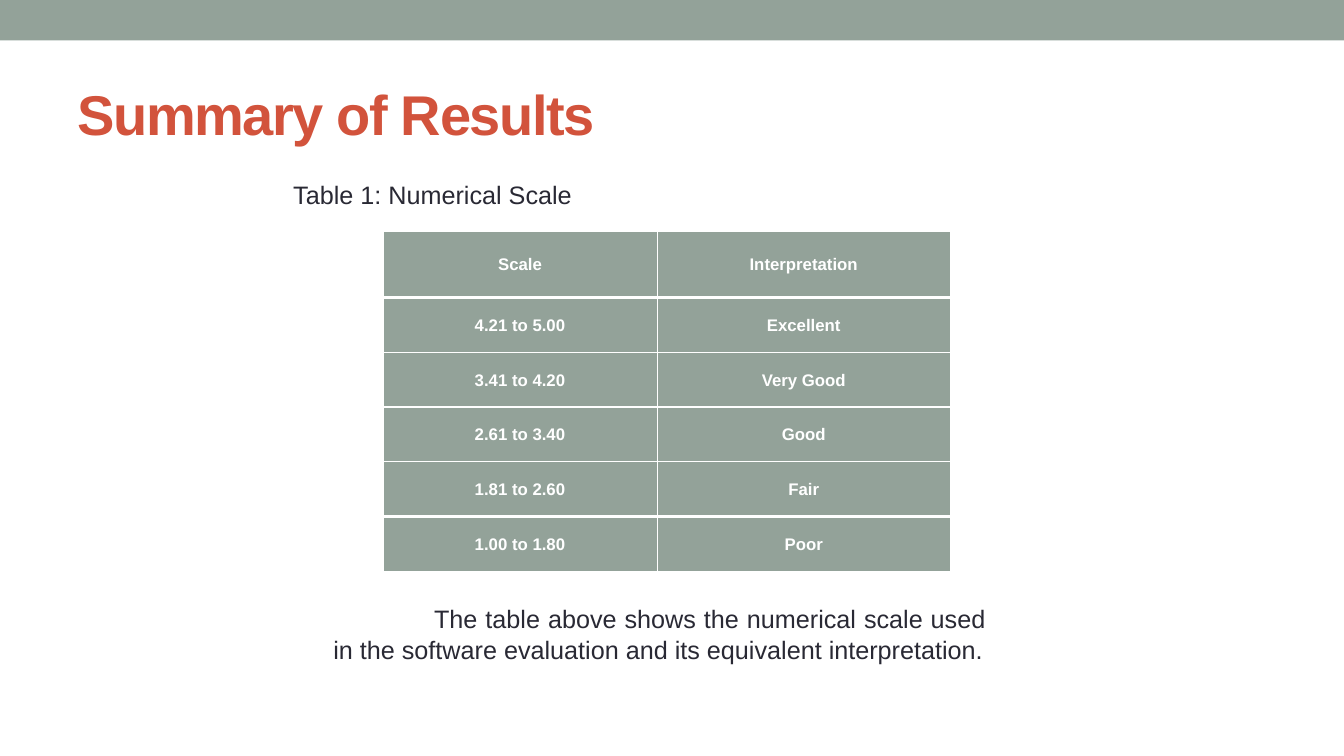
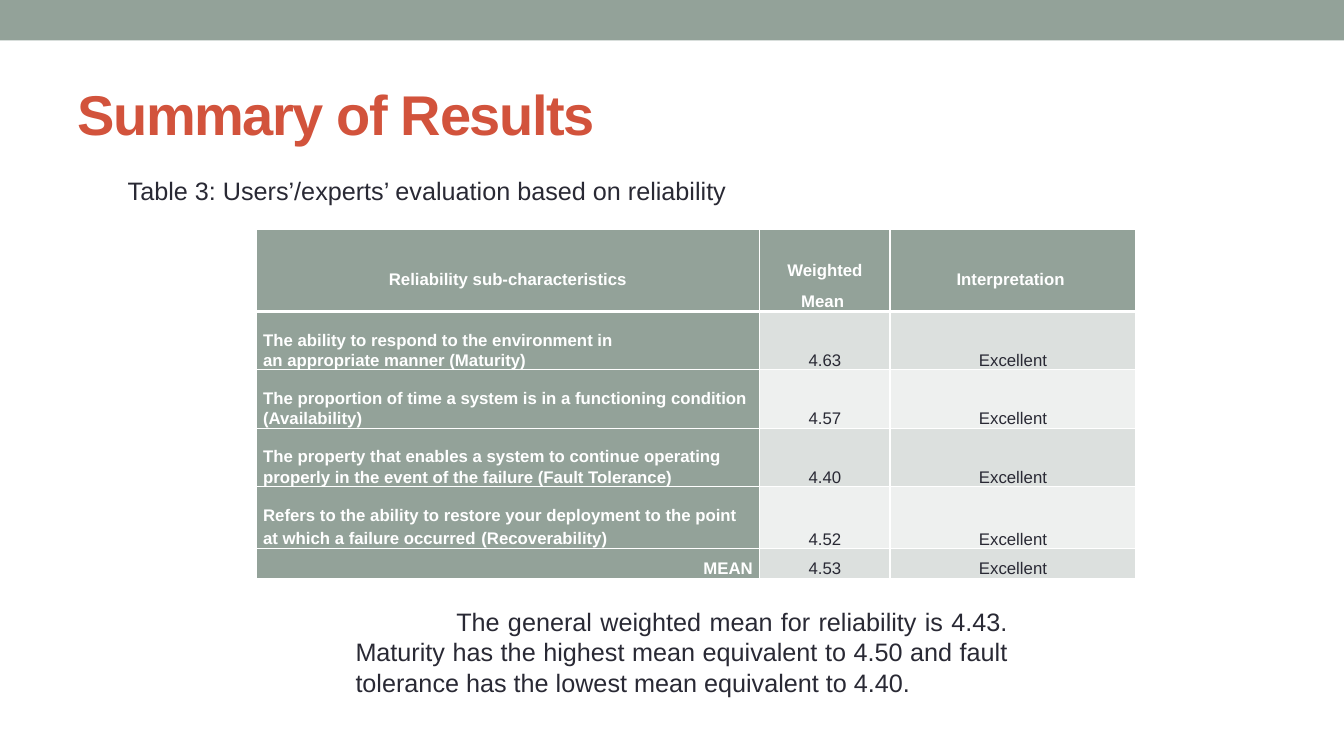
from lxml import etree
from pptx import Presentation
from pptx.dml.color import RGBColor
from pptx.enum.shapes import MSO_SHAPE
from pptx.enum.text import MSO_ANCHOR, MSO_AUTO_SIZE, PP_ALIGN
from pptx.oxml.ns import qn
from pptx.util import Cm, Pt

SAGE = RGBColor(0x93, 0xA2, 0x99)
RUST = RGBColor(0xD2, 0x53, 0x3C)
INK = RGBColor(0x29, 0x29, 0x34)
WHITE = RGBColor(0xFF, 0xFF, 0xFF)
BAND_DARK = RGBColor(0xDC, 0xE0, 0xDE)
BAND_LIGHT = RGBColor(0xEE, 0xF0, 0xEF)
FONT = "Arial"

SLIDES = [
    {
        "caption": "Table 1: Numerical Scale",
        "caption_box": (7.14, 4.39, 7.8, 1.02),
        "table_at": (9.65, 5.82),
        "columns": [6.91, 7.39],
        "rows": [1.68] + [1.38] * 5,
        "cells": [
            ("Scale", "Interpretation"),
            ("4.21 to 5.00", "Excellent"),
            ("3.41 to 4.20", "Very Good"),
            ("2.61 to 3.40", "Good"),
            ("1.81 to 2.60", "Fair"),
            ("1.00 to 1.80", "Poor"),
        ],
        "thick_rules": {1, 5},
        "summary": "The table above shows the numerical scale used in the software "
                   "evaluation and its equivalent interpretation.",
        "summary_box": (8.15, 15.09, 16.94, 1.8),
    },
    {
        "caption": "Table 3: Users’/experts’ evaluation based on reliability",
        "caption_box": (2.97, 4.29, 15.9, 1.02),
        "table_at": (6.45, 5.79),
        "columns": [12.7, 3.28, 6.2],
        "rows": [2.06] + [1.47] * 3 + [1.57, 0.74],
        "cells": [
            ("Reliability sub-characteristics", "Weighted\nMean\u00a0", "Interpretation\u00a0"),
            ("The ability to respond to the\u00a0environment\u00a0in "
             "an\u00a0appropriate\u00a0manner (Maturity)", "4.63", "Excellent"),
            ("The proportion of time a system is in a functioning condition "
             "(Availability)", "4.57", "Excellent"),
            ("The property that enables a\u00a0system\u00a0to continue operating properly "
             "in the event of the failure (Fault Tolerance)", "4.40", "Excellent"),
            ("Refers to the ability to restore your deployment to the point "
             "at which a failure occurred", "4.52", "Excellent"),
            ("MEAN", "4.53", "Excellent"),
        ],
        "thick_rules": {1},
        "summary": "The general weighted mean for reliability is 4.43. Maturity has the "
                   "highest mean equivalent to 4.50 and fault tolerance has the lowest "
                   "mean equivalent to 4.40.",
        "summary_box": (8.71, 15.16, 16.94, 2.57),
    },
]


def add_run(paragraph, text, size, color, bold=False):
    """Append one formatted run to a paragraph and return it."""
    run = paragraph.add_run()
    run.text = text
    run.font.name = FONT
    run.font.size = Pt(size)
    run.font.bold = bold
    run.font.color.rgb = color
    return run


def style_cell(cell, fill, anchor, top_width, bottom_width):
    """Set a cell's margins, anchor, white borders and fill."""
    cell.margin_left = cell.margin_right = Cm(0.18)
    cell.margin_top = cell.margin_bottom = 0
    cell.vertical_anchor = anchor
    properties = cell._tc.get_or_add_tcPr()
    for side, width in (("L", 1), ("R", 1), ("T", top_width), ("B", bottom_width)):
        line = etree.SubElement(properties, qn(f"a:ln{side}"), w=str(Pt(width)))
        solid = etree.SubElement(line, qn("a:solidFill"))
        etree.SubElement(solid, qn("a:srgbClr"), val=str(WHITE))
    cell.fill.solid()
    cell.fill.fore_color.rgb = fill


presentation = Presentation()
presentation.slide_width = Cm(33.87)
presentation.slide_height = Cm(19.05)

tables = []
for content in SLIDES:
    slide = presentation.slides.add_slide(presentation.slide_layouts[5])

    band = slide.shapes.add_shape(MSO_SHAPE.RECTANGLE, 0, 0, presentation.slide_width, Cm(1.02))
    band.shadow.inherit = False
    band.fill.solid()
    band.fill.fore_color.rgb = SAGE
    band.line.fill.background()

    title = slide.shapes.title
    title.left, title.top, title.width, title.height = Cm(1.7), Cm(1.48), Cm(30.48), Cm(2.74)
    title.text_frame.vertical_anchor = MSO_ANCHOR.MIDDLE
    title.text_frame.auto_size = MSO_AUTO_SIZE.NONE
    paragraph = title.text_frame.paragraphs[0]
    paragraph.alignment = PP_ALIGN.LEFT
    run = add_run(paragraph, "Summary of Results", 40, RUST, bold=True)
    run._r.get_or_add_rPr().set("spc", "-100")

    table = slide.shapes.add_table(
        len(content["rows"]), len(content["columns"]),
        *map(Cm, content["table_at"]),
        Cm(sum(content["columns"])), Cm(sum(content["rows"])),
    ).table
    tables.append(table)
    table.first_row = table.horz_banding = False
    for column, width in zip(table.columns, content["columns"]):
        column.width = Cm(width)
    for row, height in zip(table.rows, content["rows"]):
        row.height = Cm(height)

    is_scale = len(content["columns"]) == 2
    for row_index, texts in enumerate(content["cells"]):
        for column_index, text in enumerate(texts):
            is_header = row_index == 0
            is_label = is_scale or is_header or column_index == 0
            lines = text.split("\n")
            is_middle = is_scale or (is_header and len(lines) == 1)
            banding = BAND_DARK if row_index % 2 else BAND_LIGHT
            cell = table.cell(row_index, column_index)
            style_cell(
                cell,
                SAGE if is_label else banding,
                MSO_ANCHOR.MIDDLE if is_middle else MSO_ANCHOR.BOTTOM,
                3 if row_index in content["thick_rules"] else 1,
                3 if row_index + 1 in content["thick_rules"] else 1,
            )
            if is_scale or is_header or column_index > 0:
                alignment = PP_ALIGN.CENTER
            else:
                alignment = PP_ALIGN.RIGHT if text == "MEAN" else PP_ALIGN.LEFT
            for line_index, line in enumerate(lines):
                frame = cell.text_frame
                paragraph = frame.add_paragraph() if line_index else frame.paragraphs[0]
                paragraph.alignment = alignment
                paragraph.line_spacing = 2.0 if is_middle and not is_scale else 1.07
                if is_scale or line_index < len(lines) - 1:
                    paragraph.space_after = Pt(8)
                add_run(paragraph, line, 12, WHITE if is_label else INK, bold=is_label)

    for part in ("summary", "caption"):
        box = slide.shapes.add_textbox(*map(Cm, content[f"{part}_box"]))
        box.text_frame.word_wrap = True
        paragraph = box.text_frame.paragraphs[0]
        if part == "summary":
            paragraph.alignment = PP_ALIGN.JUSTIFY
            paragraph._p.get_or_add_pPr().set("indent", str(Cm(2.54)))
        add_run(paragraph, content[part], 18, INK)

recoverability = tables[1].cell(4, 0).text_frame.paragraphs[0]
add_run(recoverability, " ", 14, WHITE, bold=True)
add_run(recoverability, "(Recoverability)", 12, WHITE, bold=True)

presentation.save("out.pptx")
